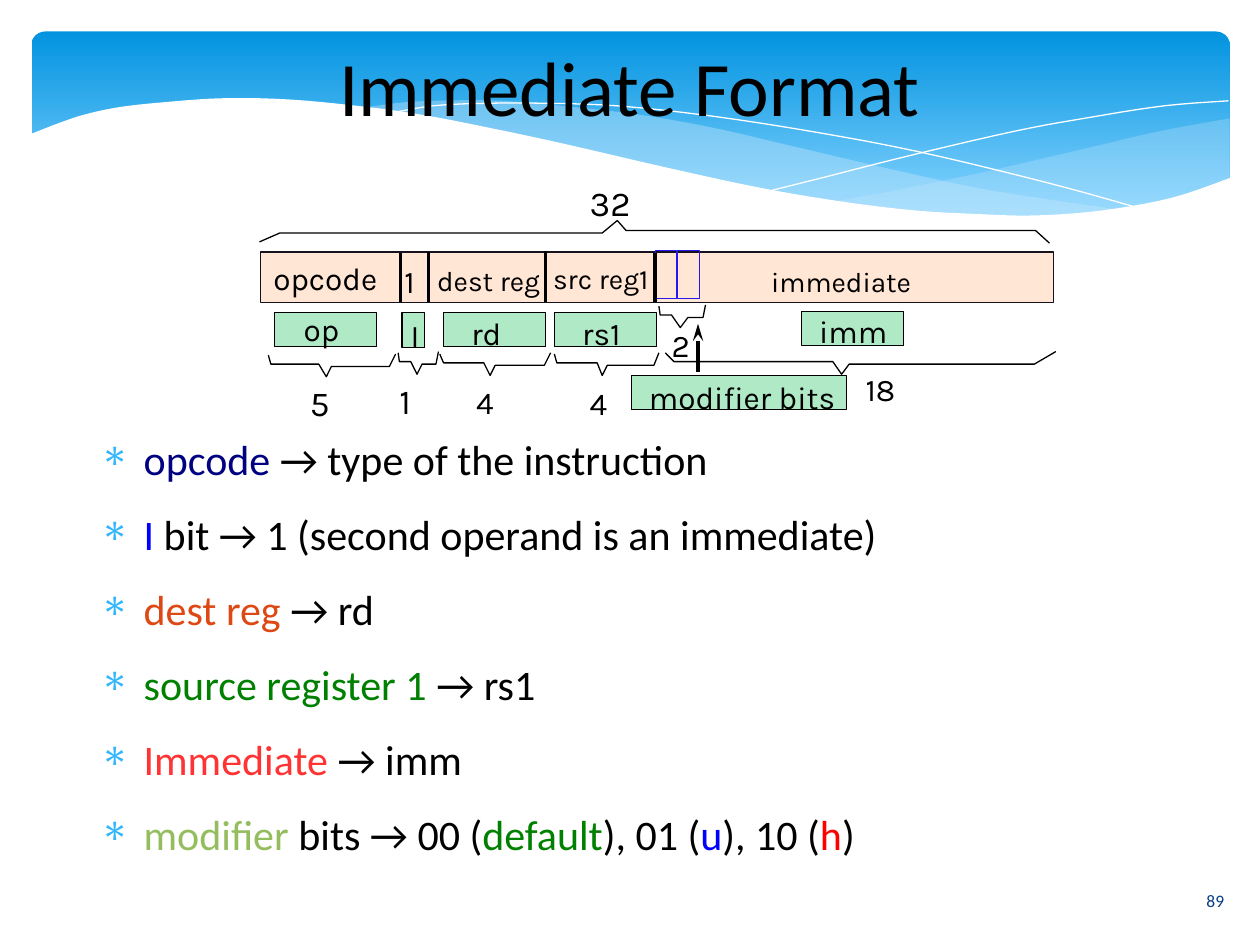
"""Build the slide that explains the immediate instruction format."""
from dataclasses import dataclass
from typing import Optional

import pptx
import pptx.dml.color
import pptx.enum.dml
import pptx.enum.shapes
import pptx.enum.text
import pptx.oxml
import pptx.oxml.ns
import pptx.util

RGB = pptx.dml.color.RGBColor
ALIGN = pptx.enum.text.PP_ALIGN
ANCHOR = pptx.enum.text.MSO_ANCHOR
SHAPE = pptx.enum.shapes.MSO_SHAPE

PX = 9144
BLACK, WHITE = RGB(0, 0, 0), RGB(255, 255, 255)
SKY_TOP, SKY_BOTTOM = RGB(0x02, 0x93, 0xE0), RGB(0x83, 0xD3, 0xFE)
MIST = RGB(0xC6, 0xE7, 0xFC)
PEACH, PEACH_EDGE = RGB(0xFF, 0xE6, 0xD5), RGB(0x15, 0x11, 0x1D)
MINT, BIT_EDGE = RGB(0xAF, 0xE9, 0xC6), RGB(0x28, 0x16, 0xF4)
NAVY, PAGE_BLUE = RGB(0, 0, 0x80), RGB(0x07, 0x3E, 0x87)
BLUE, GREEN, RED = RGB(0, 0, 255), RGB(0, 0x80, 0), RGB(255, 0, 0)
ORANGE, CORAL, OLIVE = RGB(0xDD, 0x48, 0x14), RGB(255, 0x33, 0x33), RGB(0x94, 0xBD, 0x5E)

Point = tuple[int, int]


@dataclass
class Box:
    x: int
    y: int
    w: int
    h: int
    fill: Optional[RGB] = MINT
    line: RGB = BLACK


@dataclass
class Label:
    text: str
    x: int
    y: int
    w: int
    size: int = 18


@dataclass
class Brace:
    xs: tuple[int, ...]
    y: int
    direction: int = 1


@dataclass
class Wave:
    edges: list[list[Point]]
    fill: Optional[RGB] = None
    opacity: int = 100
    corners: tuple[Point, ...] = ()


WAVES = [
    Wave([[(976, 94), (921, 104), (861, 118), (779, 137), (706, 152), (661, 160)],
          [(661, 160), (705, 165), (757, 169), (803, 172), (844, 171), (889, 166),
           (928, 158), (963, 147), (976, 141)]], MIST, 29),
    Wave([[(893, 167), (837, 159), (775, 149), (706, 134), (629, 116), (569, 102),
           (514, 92), (465, 86), (399, 80), (344, 80), (313, 82), (286, 86)],
          [(286, 86), (342, 94), (404, 106), (449, 116), (530, 135), (601, 150),
           (665, 161), (722, 168), (773, 172), (818, 173), (857, 171), (893, 167)]], MIST, 40),
    Wave([[(309, 90), (344, 84), (387, 82), (433, 82), (489, 84), (556, 91), (636, 103),
           (727, 120), (831, 145), (907, 166)]]),
    Wave([[(613, 151), (653, 141), (720, 124), (806, 104), (866, 93), (924, 84), (975, 80)]]),
    Wave([[(977, 141), (930, 157), (875, 167), (823, 171), (778, 170), (726, 167),
           (668, 160), (603, 149), (529, 133), (447, 114), (391, 102), (340, 92),
           (292, 85), (230, 79), (177, 78), (132, 81), (95, 85), (67, 91), (46, 98), (23, 107)]],
         WHITE, 100, ((23, 224), (977, 224))),
]
BOXES = [Box(207, 200, 629, 40, PEACH, PEACH_EDGE),
         *(Box(x, 248, 81, 27) for x in (218, 352, 440)),
         Box(319, 248, 18, 28), Box(636, 247, 81, 27), Box(501, 298, 171, 27),
         *(Box(x, 199, 17, 38, None, BIT_EDGE) for x in (520, 538))]
DIVIDERS = [(318, 201), (340, 200), (433, 199), (520, 201)]
BRACES = [Brace((206, 222, 478, 490, 497, 822, 833), 193, -1),
          Brace((528, 535, 661, 668, 674, 821, 838), 279),
          Brace((213, 215, 253, 259, 263, 309, 314), 281),
          Brace((316, 317, 326, 331, 335, 346, 348), 279),
          Brace((349, 352, 384, 389, 393, 432, 437), 280),
          Brace((440, 442, 474, 478, 482, 519, 523), 280),
          Brace((523, 524, 533, 540, 546, 558, 560), 242)]
BRACE_RISE = (1, 8, 8, 18, 10, 10, 0)
LABELS = [
    Label("32", 468, 144, 43, 20), Label("opcode", 217, 206, 93), Label("1", 321, 208, 25),
    Label("dest reg", 347, 209, 90, 16), Label("src reg1", 439, 208, 90, 16),
    Label("immediate", 612, 210, 112, 16), Label("op", 241, 246, 41), Label("I", 326, 251, 19),
    Label("rd", 374, 249, 35), Label("rs1", 462, 249, 48), Label("imm", 650, 248, 62),
    Label("modifier bits", 515, 300, 154), Label("2", 533, 259, 25), Label("18", 687, 294, 39),
    Label("5", 246, 303, 28, 20), Label("1", 317, 301, 28, 20), Label("4", 378, 304, 26),
    Label("4", 468, 305, 25)]
BULLETS = [
    [("opcode", NAVY), (" → type of the instruction", BLACK)],
    [("I", BLUE), (" bit → 1 (second operand is an immediate)", BLACK)],
    [("dest reg", ORANGE), (" → rd", BLACK)],
    [("source register 1", GREEN), (" → rs1", BLACK)],
    [("Immediate ", CORAL), ("→ imm", BLACK)],
    [("modifier", OLIVE), (" bits → 00 (", BLACK), ("default", GREEN), ("), 01 (", BLACK),
     ("u", BLUE), ("), 10 (", BLACK), ("h", RED), (")", BLACK)]]


def apply(obj, **values) -> None:
    for name, value in values.items():
        setattr(obj, name, value)


def add_xml(parent, xml: str) -> None:
    parent.append(pptx.oxml.parse_xml(xml.replace(">", f" {pptx.oxml.ns.nsdecls('a')}>", 1)
                                      if "/>" not in xml.split(">")[0] + ">" else
                                      xml.replace("/>", f" {pptx.oxml.ns.nsdecls('a')}/>", 1)))


def paint(sp, fill: Optional[RGB], line: Optional[RGB]) -> None:
    sp.shadow.inherit = False
    if fill is None:
        sp.fill.background()
    else:
        sp.fill.solid()
        sp.fill.fore_color.rgb = fill
    if line is None:
        sp.line.fill.background()
    else:
        sp.line.color.rgb = line
        sp.line.width = 0


def smooth(points: list[Point], steps: int = 5) -> list[Point]:
    padded = [points[0], *points, points[-1]]
    curve = [points[0]]
    for a, b, c, d in zip(padded, padded[1:], padded[2:], padded[3:]):
        for t in (i / steps for i in range(1, steps + 1)):
            curve.append(tuple(
                (2 * q + (r - p) * t + (2 * p - 5 * q + 4 * r - s) * t ** 2
                 + (3 * q - p - 3 * r + s) * t ** 3) / 2
                for p, q, r, s in zip(a, b, c, d)))
    return curve


def add_outline(s, points: list[Point], close: bool):
    emu = [(round(x * PX), round(y * PX)) for x, y in points]
    builder = s.shapes.build_freeform(*emu[0], scale=1.0)
    builder.add_line_segments(emu[1:], close=close)
    return builder.convert_to_shape()


def add_wave(s, wave: Wave) -> None:
    points = [pt for edge in wave.edges for pt in smooth(edge)] + list(wave.corners)
    sp = add_outline(s, points, wave.fill is not None)
    paint(sp, wave.fill, WHITE if wave.fill is None else None)
    if wave.opacity < 100:
        color = sp.fill._xPr.find(".//" + pptx.oxml.ns.qn("a:srgbClr"))
        add_xml(color, f'<a:alpha val="{wave.opacity * 1000}"/>')


def add_brace(s, brace: Brace) -> None:
    points = [(x, brace.y + brace.direction * rise) for x, rise in zip(brace.xs, BRACE_RISE)]
    paint(add_outline(s, points, False), None, BLACK)


def add_box(s, box: Box) -> None:
    sp = s.shapes.add_shape(SHAPE.RECTANGLE, *(v * PX for v in (box.x, box.y, box.w, box.h)))
    paint(sp, box.fill, box.line)


def add_line(s, start: Point, end: Point):
    sp = s.shapes.add_connector(pptx.enum.shapes.MSO_CONNECTOR.STRAIGHT,
                                *(v * PX for v in start + end))
    sp.line.color.rgb = BLACK
    sp.line.width = 0
    add_xml(sp._element.spPr, "<a:effectLst/>")
    return sp


def add_text(s, x: int, y: int, w: int, h: int, runs, font: str, size: int, **frame):
    tf = s.shapes.add_textbox(x * PX, y * PX, w * PX, h * PX).text_frame
    apply(tf, **{"margin_left": 0, "margin_right": 0, "margin_top": 0, "margin_bottom": 0,
                 "word_wrap": True, **frame})
    for i, parts in enumerate(runs):
        p = tf.add_paragraph() if i else tf.paragraphs[0]
        for text, color in parts:
            r = p.add_run()
            r.text = text
            apply(r.font, name=font, size=pptx.util.Pt(size))
            r.font.color.rgb = color
    return tf


def add_sky(s) -> None:
    sp = s.shapes.add_shape(SHAPE.ROUNDED_RECTANGLE, 25 * PX, 25 * PX, 951 * PX, 156 * PX)
    sp.adjustments[0] = 0.07
    paint(sp, None, None)
    sp.fill.gradient()
    sp.fill.gradient_angle = 270
    for stop, position, color in zip(sp.fill.gradient_stops, (0, 0.9), (SKY_TOP, SKY_BOTTOM)):
        stop.position = position
        stop.color.rgb = color


def add_bullets(s) -> None:
    tf = add_text(s, 67, 344, 942, 331, BULLETS, "Calibri", 24)
    for p in tf.paragraphs:
        pPr = p._p.get_or_add_pPr()
        apply(p, space_after=pptx.util.Pt(14.1))
        pPr.set("marL", str(47 * PX))
        pPr.set("indent", str(-35 * PX))
        add_xml(pPr, '<a:buClr><a:srgbClr val="31B6FD"/></a:buClr>')
        add_xml(pPr, '<a:buChar char="∗"/>')


def main() -> None:
    prs = pptx.Presentation()
    apply(prs, slide_width=1000 * PX, slide_height=750 * PX)
    s = prs.slides.add_slide(prs.slide_layouts[6])
    add_sky(s)
    for wave in WAVES:
        add_wave(s, wave)
    for box in BOXES:
        add_box(s, box)
    for x, y in DIVIDERS:
        add_line(s, (x, y), (x, 240))
    for brace in BRACES:
        add_brace(s, brace)
    for lb in LABELS:
        add_text(s, lb.x, lb.y, lb.w, 34, [[(lb.text, BLACK)]], "Karla", lb.size, word_wrap=False)
    arrow = add_line(s, (554, 295), (554, 257))
    add_xml(arrow.line._get_or_add_ln(), '<a:tailEnd type="stealth" w="med" len="lg"/>')
    for args in ((25, 17, 950, 102, [[("Immediate Format", BLACK)]], "Calibri", 44),
                 (934, 695, 61, 40, [[("89", PAGE_BLUE)]], "Calibri", 10)):
        tf = add_text(s, *args, vertical_anchor=ANCHOR.MIDDLE)
        tf.paragraphs[0].alignment = ALIGN.CENTER
    add_bullets(s)
    prs.save("out.pptx")


if __name__ == "__main__":
    main()
